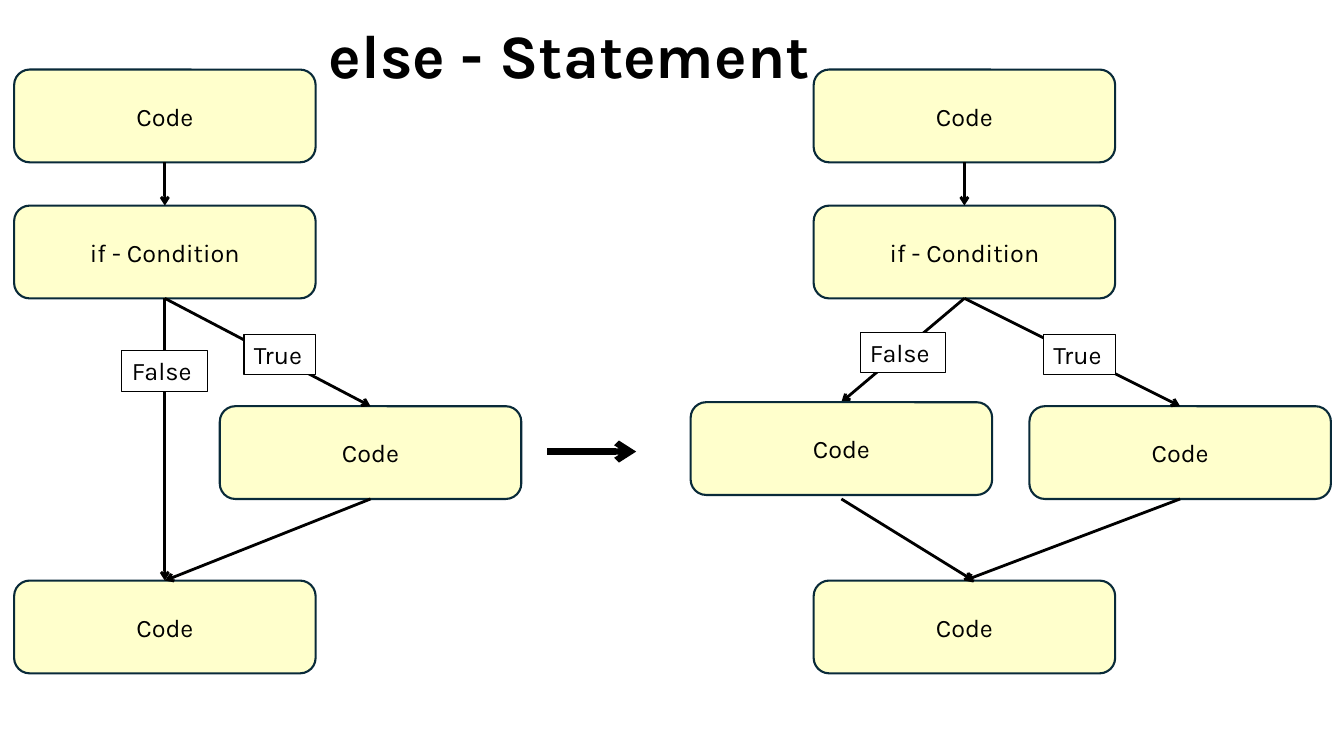
from lxml import etree
from pptx import Presentation
from pptx.dml.color import RGBColor
from pptx.enum.shapes import MSO_CONNECTOR as Connector, MSO_SHAPE as Shape
from pptx.enum.text import MSO_ANCHOR as Anchor, PP_ALIGN as Align
from pptx.oxml.ns import qn
from pptx.util import Inches, Pt

BLACK = RGBColor(0x00, 0x00, 0x00)
WHITE = RGBColor(0xFF, 0xFF, 0xFF)
CREAM = RGBColor(0xFF, 0xFF, 0xCC)
NAVY = RGBColor(0x09, 0x2A, 0x39)
BOX_WIDTH, BOX_HEIGHT = 2.99, 0.92
CODE_TOP, CONDITION_TOP, BRANCH_TOP, END_TOP = 0.69, 2.04, 4.03, 5.76


class FlowSlide:
    """Draws flowchart elements in one style on the current slide."""

    font = "Karla"

    def __init__(self, slide):
        self.slide = slide
        self.shapes = slide.shapes

    def add_text(self, shape, text, size=18, align=Align.LEFT, anchor=Anchor.TOP, bold=False):
        frame = shape.text_frame
        frame.word_wrap = True
        frame.vertical_anchor = anchor
        paragraph = frame.paragraphs[0]
        paragraph.alignment = align
        run = paragraph.add_run()
        run.text = text
        run.font.name = self.font
        run.font.size = Pt(size)
        run.font.bold = bold
        run.font.color.rgb = BLACK
        return paragraph

    def title(self, text, left, top, width, height):
        box = self.slide.shapes.add_textbox(
            Inches(left), Inches(top), Inches(width), Inches(height))
        paragraph = self.add_text(box, text, 44, Align.CENTER, Anchor.MIDDLE, True)
        paragraph.line_spacing = 0.9

    def block(self, kind, left, top, width, height, fill, line, weight):
        shape = self.shapes.add_shape(
            kind, Inches(left), Inches(top), Inches(width), Inches(height))
        shape.shadow.inherit = False
        shape.fill.solid()
        shape.fill.fore_color.rgb = fill
        shape.line.color.rgb = line
        shape.line.width = Pt(weight)
        return shape

    def step(self, text, left, top):
        shape = self.block(Shape.ROUNDED_RECTANGLE, left, top,
                           BOX_WIDTH, BOX_HEIGHT, CREAM, NAVY, 1.5)
        self.add_text(shape, text, align=Align.CENTER, anchor=Anchor.MIDDLE)

    def label(self, text, left, top, width):
        shape = self.block(Shape.RECTANGLE, left, top, width, 0.4, WHITE, BLACK, 0.75)
        self.add_text(shape, text)

    def arrow(self, start, end, weight=2):
        points = [Inches(value) for value in (*start, *end)]
        connector = self.shapes.add_connector(Connector.STRAIGHT, *points)
        connector.line.color.rgb = BLACK
        connector.line.width = Pt(weight)
        properties = connector._element.spPr
        etree.SubElement(properties.find(qn("a:ln")), qn("a:tailEnd"), type="arrow")
        etree.SubElement(properties, qn("a:effectLst"))

    def flow(self, left, true_left, false_label, false_left=None):
        self.shapes = self.slide.shapes.add_group_shape().shapes
        center = left + BOX_WIDTH / 2
        true_center = true_left + BOX_WIDTH / 2
        fork = (center, CONDITION_TOP + BOX_HEIGHT)
        join_top = BRANCH_TOP + BOX_HEIGHT

        self.step("if - Condition", left, CONDITION_TOP)
        self.step("Code", true_left, BRANCH_TOP)
        self.step("Code", left, CODE_TOP)
        self.step("Code", left, END_TOP)
        self.arrow(fork, (true_center, BRANCH_TOP))
        self.arrow((center, CODE_TOP + BOX_HEIGHT), (center, CONDITION_TOP))
        self.arrow((true_center, join_top), (center, END_TOP))
        self.label("True", left + 2.28, 3.32, 0.71)
        if false_left is None:
            self.arrow(fork, (center, END_TOP))
        else:
            false_top = BRANCH_TOP - 0.04
            false_center = false_left + BOX_WIDTH / 2
            self.arrow(fork, (false_center, false_top))
            self.arrow((false_center, join_top), (center + 0.09, END_TOP))
            self.step("Code", false_left, false_top)
        self.label("False", *false_label, 0.85)
        self.shapes = self.slide.shapes


def main():
    presentation = Presentation()
    presentation.slide_width = Inches(13.33)
    presentation.slide_height = Inches(7.5)
    page = FlowSlide(presentation.slides.add_slide(presentation.slide_layouts[6]))
    page.title("else - Statement", -0.1, -0.14, 11.5, 1.45)
    page.flow(8.07, 10.21, (8.53, 3.3), false_left=6.85)
    page.flow(0.14, 2.18, (1.21, 3.48))
    page.arrow((5.43, 4.48), (6.31, 4.48), 4.5)
    presentation.save("out.pptx")


if __name__ == "__main__":
    main()
